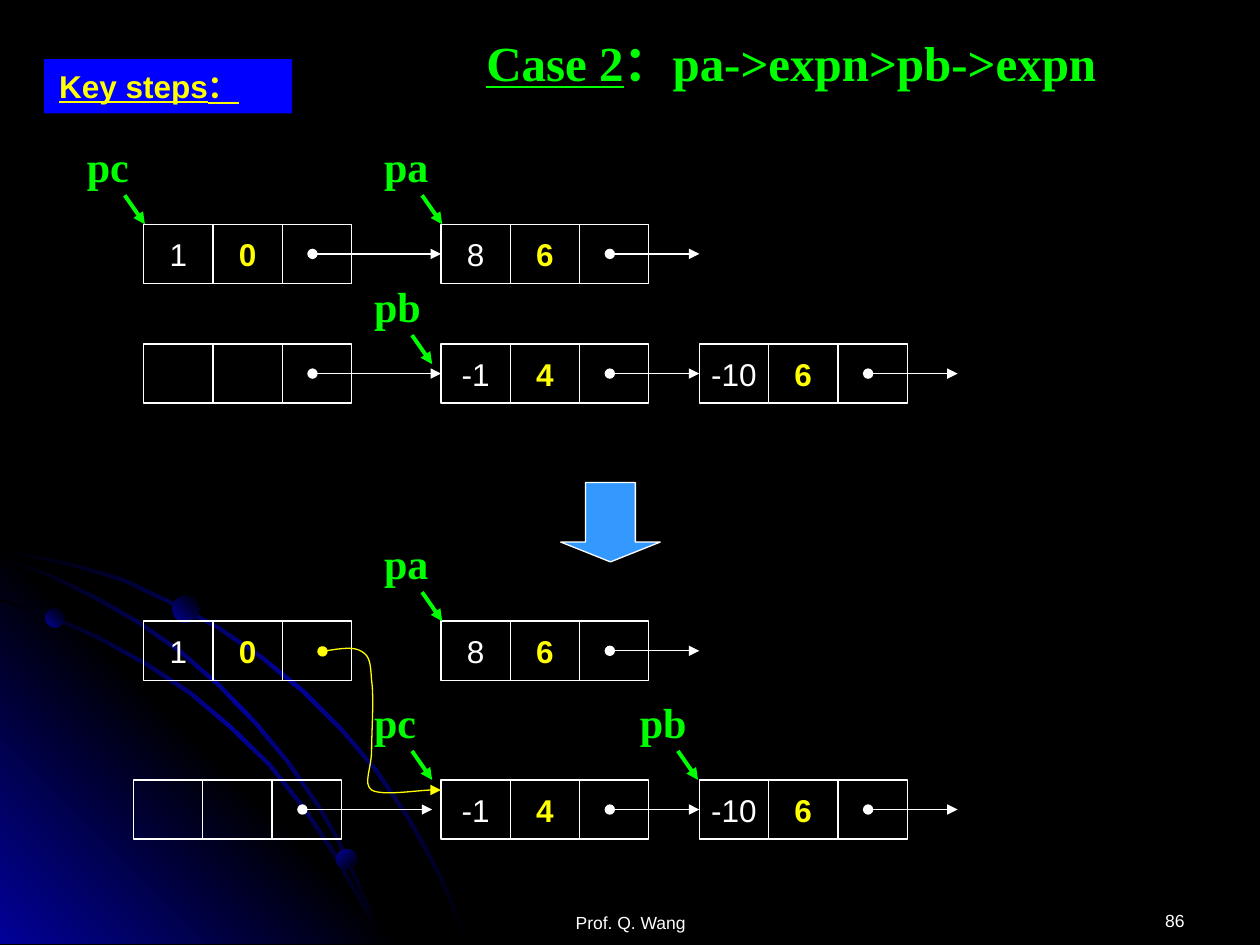
from lxml import etree
from pptx import Presentation
from pptx.dml.color import RGBColor
from pptx.enum.shapes import MSO_CONNECTOR, MSO_SHAPE
from pptx.enum.text import MSO_ANCHOR, MSO_AUTO_SIZE, PP_ALIGN
from pptx.oxml.ns import qn
from pptx.util import Inches, Pt

LEFT, CENTER, RIGHT = PP_ALIGN.LEFT, PP_ALIGN.CENTER, PP_ALIGN.RIGHT
TOP, MIDDLE = MSO_ANCHOR.TOP, MSO_ANCHOR.MIDDLE
NO_RESIZE = MSO_AUTO_SIZE.NONE
RECTANGLE, ELLIPSE, DOWN_ARROW = MSO_SHAPE.RECTANGLE, MSO_SHAPE.OVAL, MSO_SHAPE.DOWN_ARROW
STRAIGHT = MSO_CONNECTOR.STRAIGHT

COLORS = {
    "black": "000000", "white": "FFFFFF", "yellow": "FFFF00", "green": "00FF00",
    "blue": "0000FF", "navy": "010199", "sky": "3399FF",
}
CELL_WIDTH, CELL_HEIGHT = 0.55, 0.47
SLIDE_BOTTOM = 7.49
BAND_WIDTH = 0.02

FORMATS = {
    "title": {"name": "Times New Roman", "size": Pt(28), "bold": True, "color": "green"},
    "label": {"name": "Times New Roman", "size": Pt(24), "bold": True, "color": "green"},
    "key": {"name": "Arial", "size": Pt(18), "bold": True, "underline": True, "color": "yellow"},
    "coefficient": {"name": "Arial", "size": Pt(18), "bold": False, "color": "white"},
    "exponent": {"name": "Arial", "size": Pt(18), "bold": True, "color": "yellow"},
    "footer": {"name": "Arial", "size": Pt(10), "bold": False, "color": "white"},
}

ARCS = [
    [(0, 4.35), (0.28, 4.41), (0.57, 4.47), (0.98, 4.59), (1.36, 4.77), (1.74, 4.97),
     (2.09, 5.21), (2.42, 5.48), (2.72, 5.78), (3, 6.11), (3.25, 6.48), (3.39, 6.73),
     (3.52, 6.98), (3.62, 7.23), (3.72, 7.49)],
    [(0, 4.75), (0.41, 4.88), (0.79, 5.05), (1.17, 5.26), (1.52, 5.49), (1.84, 5.76),
     (2.15, 6.06), (2.42, 6.4), (2.66, 6.76), (2.86, 7.12), (2.96, 7.3), (3.03, 7.49)],
    [(0, 4.42), (0.39, 4.55), (0.76, 4.73), (1.11, 4.93), (1.44, 5.16), (1.75, 5.43),
     (2.04, 5.73), (2.29, 6.03), (2.54, 6.39), (2.69, 6.65), (2.82, 6.93), (2.94, 7.2),
     (3.03, 7.49)],
]
CORNER = [(3.22, 7.49), (0, 7.49), (0, 4.27)]
DOTS = [(0.36, 4.83, 0.15, 45), (2.67, 6.74, 0.16, 315), (1.37, 4.73, 0.21, 45)]

NODES = [
    (1.14, 1.78, "1", "0", 3.5), (3.5, 1.78, "8", "6", 5.55),
    (1.14, 2.73, "", "", 3.5), (3.5, 2.73, "-1", "4", 5.55), (5.55, 2.73, "-10", "6", 7.6),
    (1.14, 4.93, "1", "0", None), (3.5, 4.93, "8", "6", 5.55),
    (1.06, 6.19, "", "", 3.43), (3.5, 6.19, "-1", "4", 5.55), (5.55, 6.19, "-10", "6", 7.6),
]
POINTERS = [
    ("pc", 0.59, 1.07), ("pa", 2.95, 1.07), ("pb", 2.87, 2.18),
    ("pa", 2.95, 4.22), ("pc", 2.87, 5.48), ("pb", 4.98, 5.48),
]
NEW_LINK = [
    (2.56, 5.17), (2.68, 5.15), (2.81, 5.13), (2.87, 5.17), (2.94, 5.21), (2.94, 5.27),
    (2.95, 5.4), (2.97, 5.54), (2.95, 5.81), (2.95, 5.95), (2.95, 6.1), (2.88, 6.22),
    (2.95, 6.27), (3.03, 6.32), (3.33, 6.27), (3.43, 6.27), (3.52, 6.27), (3.51, 6.27),
    (3.5, 6.27),
]


def rgb(color):
    return RGBColor.from_string(COLORS[color])


class SlideBuilder:
    def __init__(self, slide):
        self.slide = slide
        self.shapes = slide.shapes
        slide.background.fill.solid()
        slide.background.fill.fore_color.rgb = rgb("black")

    def style(self, shape, fill=None, line=None):
        shape.shadow.inherit = False
        if fill:
            shape.fill.solid()
            shape.fill.fore_color.rgb = rgb(fill)
        else:
            shape.fill.background()
        if line:
            shape.line.color.rgb = rgb(line)
            shape.line.width = Pt(0.75)
        else:
            shape.line.fill.background()
        return shape

    def gradient(self, shape, colors, angle):
        shape.fill.gradient()
        shape.fill.gradient_angle = angle
        stops = shape._element.spPr.find(qn("a:gradFill")).find(qn("a:gsLst"))
        for stop in list(stops):
            stops.remove(stop)
        for index, color in enumerate(colors):
            position = index * 100000 // (len(colors) - 1)
            stop = etree.SubElement(stops, qn("a:gs"), pos=str(position))
            etree.SubElement(stop, qn("a:srgbClr"), val=COLORS[color])

    def ends(self, shape, head, tail):
        line = shape._element.spPr.find(qn("a:ln"))
        for tag, kind in (("a:headEnd", head), ("a:tailEnd", tail)):
            if kind:
                etree.SubElement(line, qn(tag), type=kind)

    def shape(self, kind, left, top, width, height, fill=None, line=None):
        shape = self.shapes.add_shape(
            kind, Inches(left), Inches(top), Inches(width), Inches(height))
        return self.style(shape, fill, line)

    def outline(self, points, closed=True, line=None):
        corners = [(Inches(x), Inches(y)) for x, y in points]
        builder = self.shapes.build_freeform(*corners[0])
        builder.add_line_segments(corners[1:], close=closed)
        return self.style(builder.convert_to_shape(), line=line)

    def curve(self, points, color):
        shape = self.outline(points, closed=False, line=color)
        segments = list(shape._element.iter(qn("a:lnTo")))
        for start in range(0, len(segments), 3):
            bezier = etree.SubElement(segments[start].getparent(), qn("a:cubicBezTo"))
            for segment in segments[start:start + 3]:
                bezier.append(segment[0])
                segment.getparent().remove(segment)
        self.ends(shape, "oval", "triangle")

    def line(self, start, end, color, width, head=None):
        connector = self.shapes.add_connector(
            STRAIGHT, *(Inches(value) for value in (*start, *end)))
        connector.line.color.rgb = rgb(color)
        connector.line.width = Pt(width)
        self.ends(connector, head, "triangle")
        etree.SubElement(connector._element.spPr, qn("a:effectLst"))

    def fill_text(self, shape, runs, style, align=LEFT, anchor=TOP, wrap=True, inset=(0.1, 0.05)):
        frame = shape.text_frame
        side, edge = Inches(inset[0]), Inches(inset[1])
        settings = {"word_wrap": wrap, "auto_size": NO_RESIZE, "vertical_anchor": anchor,
                    "margin_left": side, "margin_right": side,
                    "margin_top": edge, "margin_bottom": edge}
        for name, value in settings.items():
            setattr(frame, name, value)
        paragraph = frame.paragraphs[0]
        paragraph.alignment = align
        for text, extra in runs:
            run = paragraph.add_run()
            run.text = text
            for name, value in {**FORMATS[style], **extra}.items():
                if name == "color":
                    run.font.color.rgb = rgb(value)
                else:
                    setattr(run.font, name, value)

    def text(self, text, left, top, width, height, style, **layout):
        box = self.shapes.add_textbox(
            Inches(left), Inches(top), Inches(width), Inches(height))
        self.fill_text(box, [(text, {})], style, **layout)

    def title(self, runs, left, top, width, height):
        title = self.shapes.title
        place = {"left": left, "top": top, "width": width, "height": height}
        for name, value in place.items():
            setattr(title, name, Inches(value))
        self.fill_text(title, runs, "title", inset=(0.12, 0.06))

    def backdrop(self):
        bands = [arc + [(max(x - BAND_WIDTH, 0), min(y + BAND_WIDTH, SLIDE_BOTTOM))
                        for x, y in reversed(arc)] for arc in ARCS]
        band_colors = ("black", "navy", "black")
        corner_colors = ("navy", "black", "navy")
        outlines = [(bands[0], band_colors, 315), (CORNER, corner_colors, 45),
                    (bands[1], band_colors, 315), (bands[2], band_colors, 315)]
        for points, colors, angle in outlines:
            self.gradient(self.outline(points), colors, angle)
        for left, top, size, angle in DOTS:
            dot = self.shape(ELLIPSE, left, top, size, size)
            self.gradient(dot, ("navy", "black"), angle)

    def node(self, left, top, coefficient, exponent, link_end):
        cells = ((coefficient, "coefficient"), (exponent, "exponent"), ("", ""))
        for column, (text, style) in enumerate(cells):
            cell = self.shape(RECTANGLE, left + column * CELL_WIDTH, top,
                              CELL_WIDTH, CELL_HEIGHT, line="white")
            if text:
                self.fill_text(cell, [(text, {})], style, CENTER, MIDDLE, wrap=False)
        if link_end:
            middle = top + CELL_HEIGHT / 2
            self.line((left + 1.34, middle), (link_end, middle), "white", 0.75, "oval")

    def pointer(self, name, left, top):
        self.text(name, left, top, 0.55, 0.5, "label", wrap=False)
        self.line((left + 0.4, top + 0.48), (left + 0.56, top + 0.71), "green", 2.25)


def main():
    presentation = Presentation()
    presentation.slide_width, presentation.slide_height = Inches(10), Inches(7.5)
    builder = SlideBuilder(presentation.slides.add_slide(presentation.slide_layouts[5]))
    builder.backdrop()
    builder.title([("Case 2", {"underline": True}),
                   ("：pa->expn>pb->expn", {"underline": False})], 3.74, 0.2, 5.59, 0.59)
    key = builder.shape(RECTANGLE, 0.35, 0.47, 1.97, 0.43, fill="blue")
    builder.fill_text(key, [("Key steps：", {})], "key", inset=(0.12, 0.06))
    for node in NODES:
        builder.node(*node)
    for pointer in POINTERS:
        builder.pointer(*pointer)
    arrow = builder.shape(DOWN_ARROW, 4.45, 3.83, 0.79, 0.63, fill="sky", line="white")
    arrow.adjustments[0], arrow.adjustments[1] = 0.5, 0.25
    builder.curve(NEW_LINK, "yellow")
    builder.text("86", 7.17, 7.01, 2.33, 0.5, "footer", align=RIGHT, inset=(0.1, 0.21))
    builder.text("Prof. Q. Wang", 3.42, 7.03, 3.17, 0.5, "footer", align=CENTER, inset=(0.1, 0.21))
    presentation.save("out.pptx")


if __name__ == "__main__":
    main()
